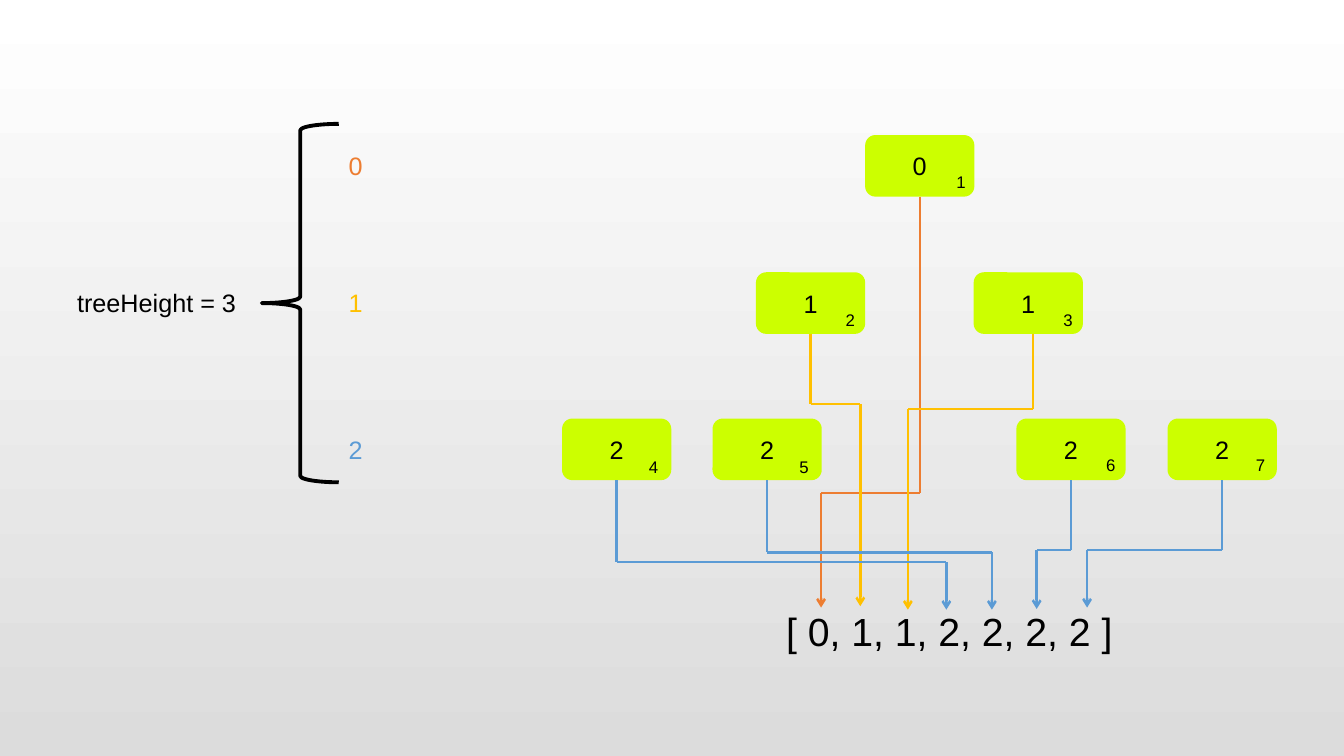
from collections import namedtuple
from itertools import pairwise

from lxml.etree import SubElement
from pptx import Presentation
from pptx.dml.color import RGBColor
from pptx.enum.shapes import MSO_CONNECTOR as Connector, MSO_SHAPE as Shape
from pptx.enum.text import MSO_ANCHOR as Anchor, MSO_AUTO_SIZE as AutoSize, PP_ALIGN as Align
from pptx.oxml.ns import qn
from pptx.util import Pt

WHITE = RGBColor(0xFF, 0xFF, 0xFF)
GREY = RGBColor(0xDC, 0xDC, 0xDC)
BLACK = RGBColor(0, 0, 0)
LIME = RGBColor(0xCC, 0xFF, 0x00)
ORANGE = RGBColor(0xED, 0x7D, 0x31)
GOLD = RGBColor(0xFF, 0xC0, 0x00)
BLUE = RGBColor(0x5B, 0x9B, 0xD5)

LEVEL_COLORS = [ORANGE, GOLD, BLUE]
LEVEL_TOPS = [96.5, 194.5, 299]
NODE_WIDTH, NODE_HEIGHT = 78, 44

Node = namedtuple("Node", "level left index_dx index_dy exit_dx bend arrival end")
NODES = [
    Node(0, 618, 58, 22.5, 0, 352, 586.5, 434),
    Node(1, 540, 57, 23, 0, 288.5, 614.5, 433),
    Node(1, 695.5, 57, 23, 3.5, 292, 648.5, 435.5),
    Node(2, 401.5, 55, 23.5, 0, 401.5, 676, 435.5),
    Node(2, 509, 55, 23.5, 0, 394.5, 708.5, 435.5),
    Node(2, 726, 57, 22, 0, 393, 740.5, 435),
    Node(2, 834, 56, 22, 0, 393, 776.5, 434),
]


def write(frame, text, size=18, color=BLACK, align=Align.LEFT):
    paragraph = frame.paragraphs[0]
    paragraph.alignment = align
    run = paragraph.add_run()
    run.text = text
    run.font.name = "Arial"
    run.font.size = Pt(size)
    run.font.color.rgb = color


def add_label(slide, text, left, top, width, height, **text_format):
    label = slide.shapes.add_textbox(Pt(left), Pt(top), Pt(width), Pt(height))
    label.text_frame.word_wrap = True
    label.text_frame.auto_size = AutoSize.SHAPE_TO_FIT_TEXT
    write(label.text_frame, text, **text_format)


def paint_background(slide):
    fill = slide.background.fill
    fill.gradient()
    fill.gradient_angle = 270
    for stop, position, color in zip(fill.gradient_stops, (0, 1), (WHITE, GREY)):
        stop.position = position
        stop.color.rgb = color


def add_height_scale(slide, left, top, width, height):
    brace_left, brace_width = left + 139, 55
    add_label(slide, "treeHeight = 3", left, top + 113.5, width, 29)
    brace = slide.shapes.add_shape(
        Shape.LEFT_BRACE, Pt(brace_left), Pt(top), Pt(brace_width), Pt(height))
    brace.shadow.inherit = False
    brace.fill.background()
    brace.line.color.rgb = BLACK
    brace.line.width = Pt(2.75)
    for level, (level_top, color) in enumerate(zip(LEVEL_TOPS, LEVEL_COLORS)):
        add_label(slide, str(level), brace_left + brace_width, level_top + 7.5, 36, 29,
                  color=color)


def add_node(slide, node, index, left, top, width, height):
    box = slide.shapes.add_shape(
        Shape.ROUNDED_RECTANGLE, Pt(left), Pt(top), Pt(width), Pt(height))
    box.shadow.inherit = False
    box.fill.solid()
    box.fill.fore_color.rgb = LIME
    box.line.fill.background()
    box.text_frame.vertical_anchor = Anchor.MIDDLE
    write(box.text_frame, str(node.level), align=Align.CENTER)
    add_label(slide, str(index), left + node.index_dx, top + node.index_dy, 36, 22, size=12)


def add_route(slide, points, color):
    segments = slide.shapes.add_group_shape().shapes
    for start, end in pairwise(points):
        segment = segments.add_connector(
            Connector.STRAIGHT, *(Pt(value) for value in start + end))
        segment.line.color.rgb = color
        segment.line.width = Pt(1.75)
        properties = segment._element.spPr
        SubElement(properties, qn("a:effectLst"))
    SubElement(properties.find(qn("a:ln")), qn("a:tailEnd"), type="arrow")


def add_tree(slide):
    for index, node in enumerate(NODES, 1):
        add_node(slide, node, index, node.left, LEVEL_TOPS[node.level],
                 NODE_WIDTH, NODE_HEIGHT)
    levels = ", ".join(str(node.level) for node in NODES)
    add_label(slide, f"[ {levels} ]", 554.5, 430, 262, 41, size=28)
    for node in NODES:
        departure = node.left + NODE_WIDTH / 2 + node.exit_dx
        add_route(slide, [
            (departure, LEVEL_TOPS[node.level] + NODE_HEIGHT),
            (departure, node.bend),
            (node.arrival, node.bend),
            (node.arrival, node.end),
        ], LEVEL_COLORS[node.level])


deck = Presentation()
deck.slide_width, deck.slide_height = Pt(960), Pt(540)
slide = deck.slides.add_slide(deck.slide_layouts[6])
paint_background(slide)
add_height_scale(slide, 48, 88.5, 203, 256)
add_tree(slide)
deck.save("out.pptx")
